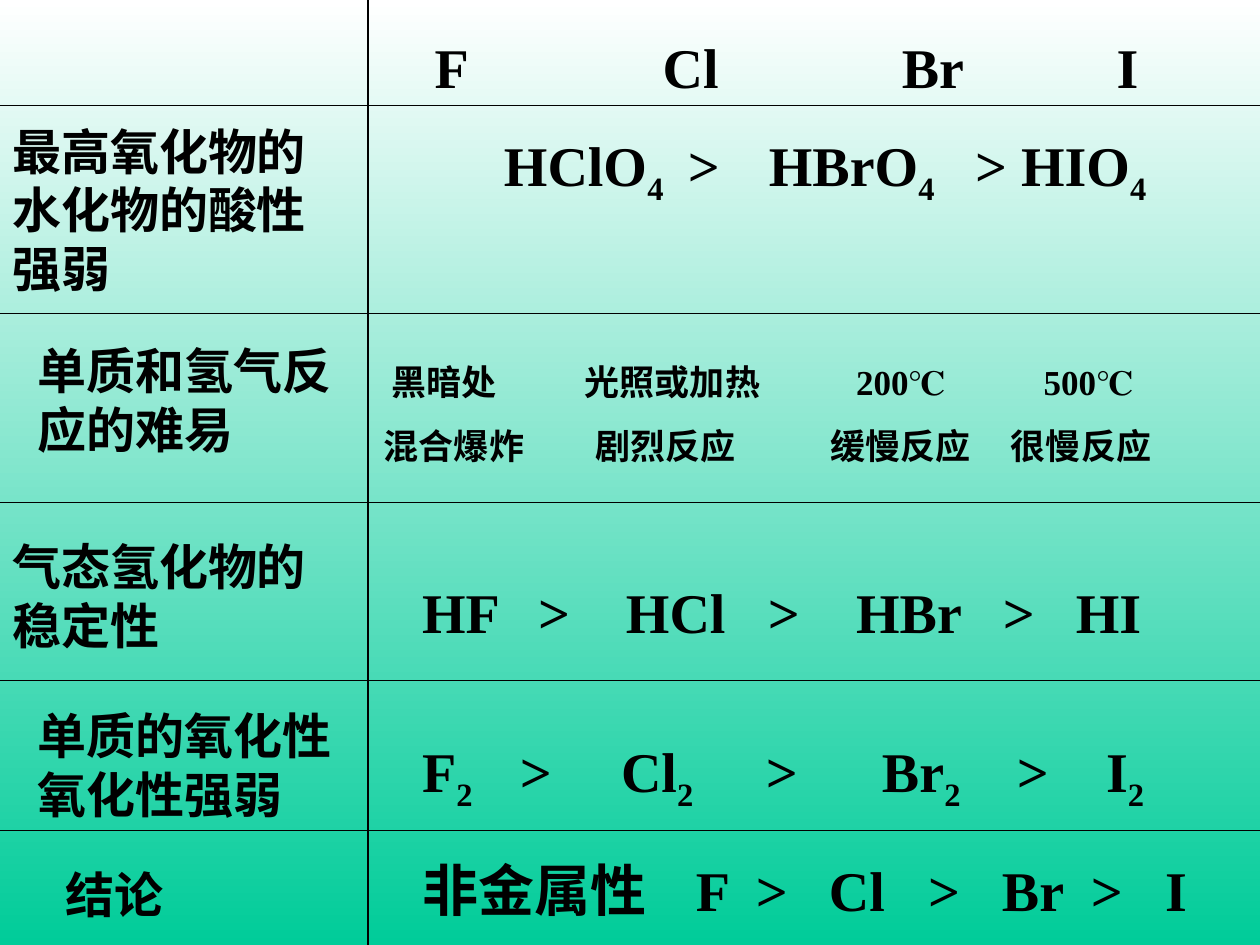
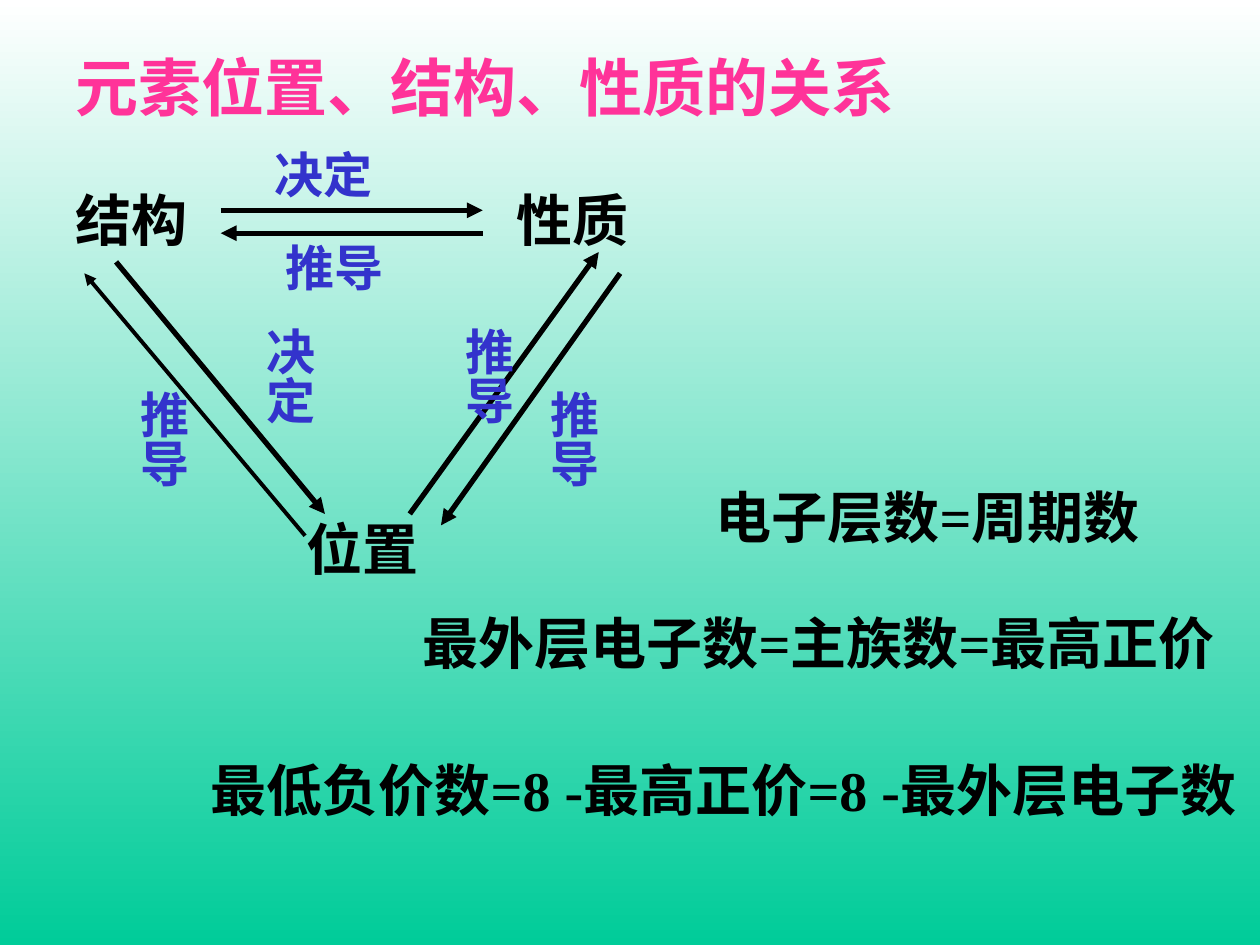
from dataclasses import dataclass

from lxml.etree import SubElement
from pptx import Presentation
from pptx.dml.color import RGBColor
from pptx.enum.shapes import MSO_CONNECTOR
from pptx.enum.text import MSO_AUTO_SIZE
from pptx.oxml.ns import qn
from pptx.slide import Slide
from pptx.util import Cm, Pt

COLORS = {
    "black": "000000",
    "pink": "FF3399",
    "blue": "3333CC",
    "sky": "FFFFFF",
    "sea": "00CC99",
}
FONT = "Times New Roman"
FORMATS = {
    "title": {"size": Pt(36), "bold": True, "name": FONT},
    "formula": {"size": Pt(32), "bold": True, "name": FONT},
    "label": {"size": Pt(28), "bold": True, "name": FONT},
    "condition": {"size": Pt(20), "bold": True, "name": FONT},
}
WIDTH, HEIGHT = 25.4, 19.05
WIDE_INSET, NARROW_INSET = 0.25, 0.13
PARAGRAPH_GAP = Pt(12.5)


@dataclass
class Line:
    """A paragraph; tab stops are distances from the left edge of the slide."""
    text: str
    stops: tuple[float, ...] = ()
    indent: float = 0


@dataclass
class TextBox:
    left: float
    top: float
    width: float
    height: float
    style: str
    lines: list[Line]
    color: str = "black"
    vertical: bool = False


@dataclass
class Stroke:
    start: tuple[float, float]
    end: tuple[float, float]
    weight: float = 0.75
    arrow: bool = False


def row_label(left: float, top: float, width: float, height: float, text: str) -> TextBox:
    return TextBox(left, top, width, height, "label", [Line(text)])


def formula(left: float, top: float, width: float, height: float, text: str,
            stops: tuple[float, ...] = (), indent: float = 0) -> TextBox:
    return TextBox(left, top, width, height, "formula", [Line(text, stops, indent)])


def relation(left: float, top: float, width: float, height: float, text: str,
             vertical: bool = False) -> TextBox:
    return TextBox(left, top, width, height, "label", [Line(text)], "blue", vertical)


def arrow(start: tuple[float, float], end: tuple[float, float], weight: float = 3) -> Stroke:
    return Stroke(start, end, weight, True)


ROW_LINES = (2.13, 6.32, 10.13, 13.72, 16.74)
COLUMN_LINE = 7.42
GRID = [Stroke((0, y), (WIDTH, y)) for y in ROW_LINES]
GRID.append(Stroke((COLUMN_LINE, 0), (COLUMN_LINE, HEIGHT)))

HALOGEN_TEXTS = [
    formula(4.01, 0.53, 20.75, 1.63, "\tF\tCl\tBr\tI", (8.76, 13.36, 18.18, 22.51)),
    row_label(0, 2.31, 7.19, 3.81, "最高氧化物的水化物的酸性强弱"),
    formula(7.62, 2.51, 17.15, 1.8, "\tHClO_4\t>\tHBrO_4\t> HIO_4",
            (10.16, 13.87, 15.5, 19.66)),
    row_label(0.51, 6.73, 6.81, 2.64, "单质和氢气反应的难易"),
    TextBox(7.49, 7.14, 16.81, 2.39, "condition", [
        Line("\t黑暗处\t光照或加热\t200℃\t500℃", (7.9, 11.79, 17.26, 21.04)),
        Line("混合爆炸\t剧烈反应\t缓慢反应\t很慢反应", (12, 16.75, 20.38)),
    ]),
    row_label(0, 10.69, 6.99, 2.64, "气态氢化物的稳定性"),
    formula(8.26, 11.51, 17.15, 1.63, "HF\t>\tHCl\t>\tHBr\t>\tHI",
            (10.85, 12.62, 15.48, 17.26, 20.22, 21.69)),
    row_label(0.51, 14.1, 6.99, 2.64, "单质的氧化性氧化性强弱"),
    formula(8.26, 14.71, 17.15, 1.8, "F_2\t>\tCl_2\t>\tBr_2\t>\tI_2",
            (10.48, 12.52, 15.44, 17.78, 20.5, 22.3)),
    row_label(1.07, 17.3, 5.08, 1.45, "结论"),
    formula(8.26, 17.12, 17.15, 1.63, "非金属性\tF\t>\tCl\t>\tBr\t>\tI",
            (14.03, 15.24, 16.71, 18.71, 20.2, 21.99, 23.49)),
]

RELATION_ARROWS = [
    arrow((4.45, 4.24), (9.73, 4.24)),
    arrow((9.73, 4.7), (4.45, 4.7)),
    arrow((2.34, 5.28), (6.55, 10.36)),
    arrow((6.15, 10.8), (1.7, 5.51), 2.25),
    arrow((8.26, 10.36), (12.07, 5.08)),
    arrow((12.5, 5.51), (8.89, 10.59)),
]
RELATION_TEXTS = [
    TextBox(1.27, 0.84, 23.06, 1.78, "title", [Line("元素位置、结构、性质的关系")], "pink"),
    formula(1.27, 3.61, 2.97, 1.63, "结构"),
    formula(10.16, 3.61, 3.38, 1.63, "性质"),
    formula(5.92, 10.24, 3.18, 1.63, "位置"),
    relation(5.28, 2.79, 3.18, 1.45, "决定"),
    relation(5.51, 4.65, 2.97, 1.45, "推导"),
    relation(4.88, 6.35, 1.68, 2.54, "决定", True),
    relation(2.34, 7.62, 1.68, 2.97, "推导", True),
    relation(8.89, 6.35, 1.68, 2.74, "推导", True),
    relation(10.59, 7.62, 1.68, 2.54, "推导", True),
    formula(14.17, 9.6, 9.53, 2.97, "电子层数=周期数"),
    formula(8.26, 12.14, 17.15, 2.97, "最外层电子数=主族数=最高正价"),
    formula(2.97, 15.11, 22.43, 2.97, "最低负价数=8 -最高正价=8 -最外层电子数", indent=1.02),
]


def split_subscripts(text: str) -> list[tuple[str, bool]]:
    """Split text into pieces; the one character after each "_" is a subscript."""
    first, *others = text.split("_")
    pieces = [(first, False)]
    for other in others:
        pieces += [(other[0], True), (other[1:], False)]
    return [piece for piece in pieces if piece[0]]


def add_text_box(slide: Slide, box: TextBox) -> None:
    shape = slide.shapes.add_textbox(Cm(box.left), Cm(box.top), Cm(box.width), Cm(box.height))
    frame = shape.text_frame
    side, end = (NARROW_INSET, WIDE_INSET) if box.vertical else (WIDE_INSET, NARROW_INSET)
    frame_format = {
        "word_wrap": True, "auto_size": MSO_AUTO_SIZE.SHAPE_TO_FIT_TEXT,
        "margin_left": Cm(side), "margin_right": Cm(side),
        "margin_top": Cm(end), "margin_bottom": Cm(end),
    }
    for name, value in frame_format.items():
        setattr(frame, name, value)
    if box.vertical:
        frame._txBody.bodyPr.set("vert", "eaVert")

    for index, line in enumerate(box.lines):
        paragraph = frame.add_paragraph() if index else frame.paragraphs[0]
        if index:
            paragraph.space_before = PARAGRAPH_GAP
        properties = paragraph._p.get_or_add_pPr()
        if line.indent:
            properties.set("indent", str(Cm(line.indent)))
        if line.stops:
            tab_list = SubElement(properties, qn("a:tabLst"))
            for stop in line.stops:
                position = Cm(stop - box.left - side)
                SubElement(tab_list, qn("a:tab"), pos=str(position), algn="l")
        for text, is_subscript in split_subscripts(line.text):
            run = paragraph.add_run()
            run.text = text
            for name, value in FORMATS[box.style].items():
                setattr(run.font, name, value)
            run.font.color.rgb = RGBColor.from_string(COLORS[box.color])
            if is_subscript:
                run._r.get_or_add_rPr().set("baseline", "-25000")


def add_stroke(slide: Slide, stroke: Stroke) -> None:
    ends = [Cm(value) for value in (*stroke.start, *stroke.end)]
    connector = slide.shapes.add_connector(MSO_CONNECTOR.STRAIGHT, *ends)
    connector.line.color.rgb = RGBColor.from_string(COLORS["black"])
    connector.line.width = Pt(stroke.weight)
    if stroke.arrow:
        SubElement(connector.line._get_or_add_ln(), qn("a:tailEnd"), type="triangle")
    SubElement(connector._element.spPr, qn("a:effectLst"))


def set_background(presentation: Presentation) -> None:
    fill = presentation.slide_master.background.fill
    fill.gradient()
    fill.gradient_angle = 270
    for stop, position, color in zip(fill.gradient_stops, (0, 1), ("sky", "sea")):
        stop.position = position
        stop.color.rgb = RGBColor.from_string(COLORS[color])


def main() -> None:
    presentation = Presentation()
    presentation.slide_width, presentation.slide_height = Cm(WIDTH), Cm(HEIGHT)
    set_background(presentation)
    for strokes, boxes in ((GRID, HALOGEN_TEXTS), (RELATION_ARROWS, RELATION_TEXTS)):
        slide = presentation.slides.add_slide(presentation.slide_layouts[6])
        for stroke in strokes:
            add_stroke(slide, stroke)
        for box in boxes:
            add_text_box(slide, box)
    presentation.save("out.pptx")


if __name__ == "__main__":
    main()
